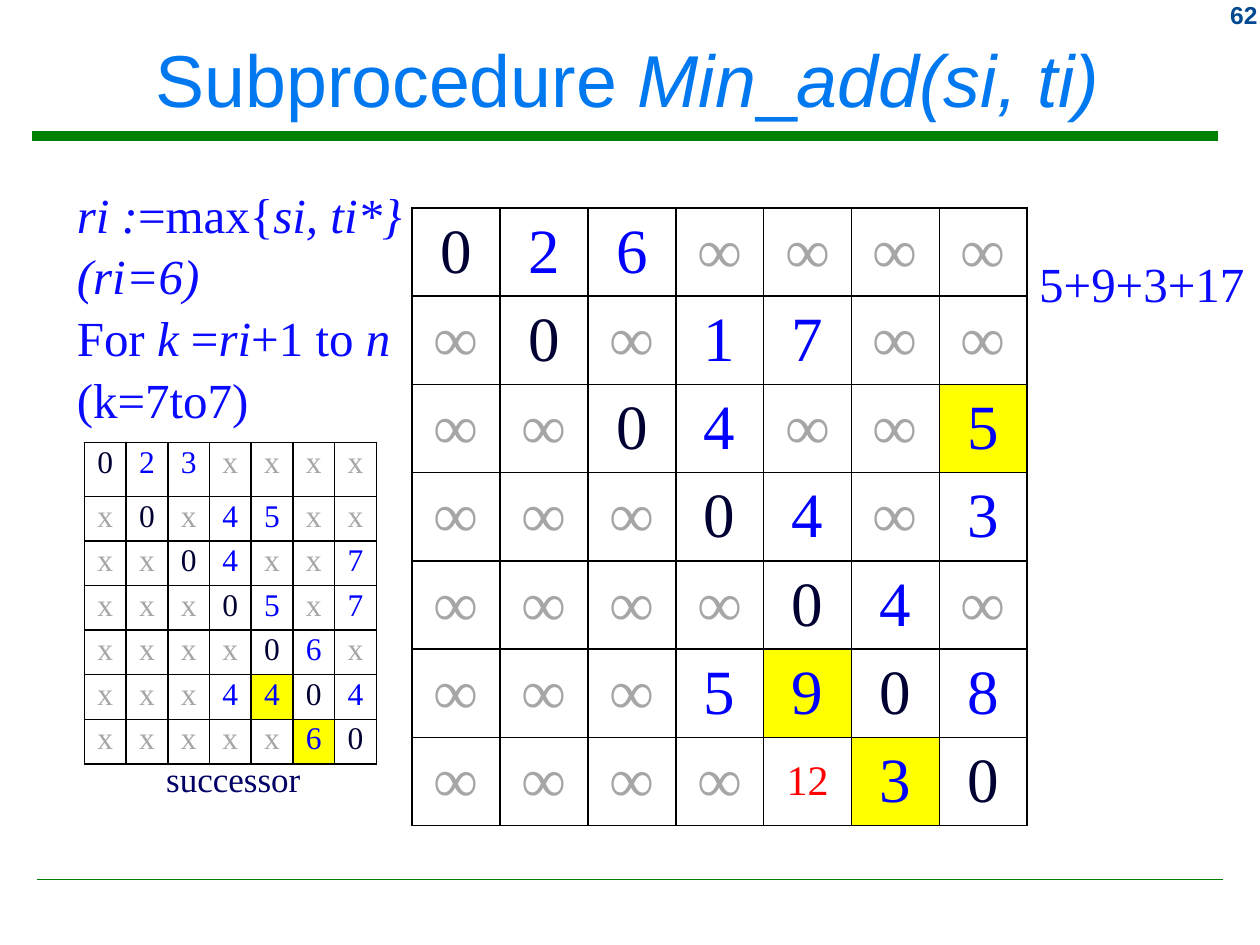
from lxml import etree
from pptx import Presentation
from pptx.dml.color import RGBColor
from pptx.enum.shapes import MSO_CONNECTOR
from pptx.enum.text import MSO_ANCHOR, MSO_AUTO_SIZE, PP_ALIGN
from pptx.oxml import parse_xml
from pptx.oxml.ns import nsdecls, qn
from pptx.util import Cm, Pt

STRAIGHT = MSO_CONNECTOR.STRAIGHT
TOP, MIDDLE = MSO_ANCHOR.TOP, MSO_ANCHOR.MIDDLE
LEFT, CENTER, RIGHT = PP_ALIGN.LEFT, PP_ALIGN.CENTER, PP_ALIGN.RIGHT
NO_FIT = MSO_AUTO_SIZE.NONE

GREEN = RGBColor(0x00, 0x80, 0x00)
NAVY = RGBColor(0x00, 0x49, 0x92)
SKY = RGBColor(0x00, 0x78, 0xF0)
INK = RGBColor(0x00, 0x00, 0x66)
VIVID = RGBColor(0x0A, 0x0A, 0xFF)
DARK = RGBColor(0x00, 0x00, 0x33)
BLUE = RGBColor(0x00, 0x00, 0xFF)
GRAY = RGBColor(0xA6, 0xA6, 0xA6)
RED = RGBColor(0xFF, 0x00, 0x00)
WHITE = RGBColor(0xFF, 0xFF, 0xFF)
YELLOW = RGBColor(0xFF, 0xFF, 0x00)

SERIF, SANS = "Times New Roman", "Arial"
HEAD = {"size": Pt(42), "name": SANS}
PAGE = {"size": Pt(14), "name": SANS, "bold": True}
BODY = {"size": Pt(28), "name": SERIF}
LABEL = {"size": Pt(20), "name": SERIF}

STEPS = [
    "|ri :|=max{|si, ti*}",
    "|(ri=6)",
    "For |k |=|ri|+1 to |n",
    "(k=7to7)",
]
NEXT = [
    "0 2 3 x x x x",
    "x 0 x 4 5 x x",
    "x x 0 4 x x 7",
    "x x x 0 5 x 7",
    "x x x x 0 6 x",
    "x x x 4 4 0 4",
    "x x x x x 6 0",
]
COST = [
    "0 2 6 ∞ ∞ ∞ ∞",
    "∞ 0 ∞ 1 7 ∞ ∞",
    "∞ ∞ 0 4 ∞ ∞ 5",
    "∞ ∞ ∞ 0 4 ∞ 3",
    "∞ ∞ ∞ ∞ 0 4 ∞",
    "∞ ∞ ∞ 5 9 0 8",
    "∞ ∞ ∞ ∞ 12 3 0",
]
TINTS = {"0": DARK, "x": GRAY, "∞": GRAY, "12": RED}


def style(item, values):
    """Set each named attribute of an item."""
    for key, value in values.items():
        setattr(item, key, value)


def write(para, text, font, color, align):
    """Fill a paragraph, with every second piece between bars in italics."""
    para.alignment = align
    for i, piece in enumerate(text.split("|")):
        if piece:
            run = para.add_run()
            run.text = piece
            style(run.font, {**font, "italic": i % 2 == 1})
            run.font.color.rgb = color


def place(shape, box):
    """Move a shape to a box given in centimetres."""
    style(shape, dict(zip(("left", "top", "width", "height"), map(Cm, box))))


def add_title(slide, box, text):
    """Place and format the title."""
    title = slide.shapes.title
    place(title, box)
    frame = title.text_frame
    style(frame, {"auto_size": NO_FIT, "vertical_anchor": MIDDLE, "word_wrap": True})
    write(frame.paragraphs[0], text, HEAD, SKY, CENTER)


def add_text(slide, box, lines, font, color, align=LEFT, wrap=True, space=1.05):
    """Add a text box with one paragraph for each line."""
    frame = slide.shapes.add_textbox(*map(Cm, box)).text_frame
    style(frame, {"word_wrap": wrap, "vertical_anchor": TOP})
    for i, line in enumerate(lines):
        para = frame.add_paragraph() if i else frame.paragraphs[0]
        para.line_spacing = space
        write(para, line, font, color, align)


def add_rule(slide, left, top, width, weight):
    """Add a level green line."""
    rule = slide.shapes.add_connector(
        STRAIGHT, Cm(left), Cm(top), Cm(left + width), Cm(top))
    rule.line.color.rgb = GREEN
    rule.line.width = Pt(weight)
    etree.SubElement(rule._element.spPr, qn("a:effectLst"))


def add_edges(cell):
    """Draw a thin black border on all sides of a cell."""
    props = cell._tc.get_or_add_tcPr()
    for i, side in enumerate("LRTB"):
        props.insert(i, parse_xml(
            f'<a:ln{side} {nsdecls("a")} w="12700"><a:solidFill>'
            f'<a:srgbClr val="000000"/></a:solidFill></a:ln{side}>'))


def add_grid(slide, box, rows, marks, size, look, first=None):
    """Add a matrix whose marked cells are yellow."""
    count = len(rows)
    table = slide.shapes.add_table(count, count, *map(Cm, box)).table
    style(table, {"first_row": False, "horz_banding": False})
    width, height = box[2:]
    first = first or height / count
    rest = (height - first) / (count - 1)
    for r, row in enumerate(rows):
        table.columns[r].width = Cm(width / count)
        table.rows[r].height = Cm(rest if r else first)
        for c, text in enumerate(row.split()):
            cell = table.cell(r, c)
            style(cell, look)
            cell.fill.solid()
            cell.fill.fore_color.rgb = YELLOW if (r, c) in marks else WHITE
            add_edges(cell)
            font = {"size": Pt(24 if len(text) > 1 else size), "name": SERIF}
            write(cell.text_frame.paragraphs[0], text, font,
                  TINTS.get(text, BLUE), CENTER)


def main():
    """Build and save the slide."""
    deck = Presentation()
    style(deck, {"slide_width": Cm(25.4), "slide_height": Cm(19.05)})
    slide = deck.slides.add_slide(deck.slide_layouts[5])
    add_rule(slide, 0.64, 2.74, 23.92, 5.25)
    add_rule(slide, 0.74, 17.73, 23.92, 1)
    add_text(slide, (23.29, -0.13, 2.31, 0.84), ["62"], PAGE, NAVY, RIGHT, space=1)
    add_title(slide, (0.2, 0.23, 24.89, 2.69), "Subprocedure |Min|_|add(si, ti)")
    add_text(slide, (3.1, 15.11, 3.25, 1.12), ["successor"], LABEL, INK, wrap=False)
    add_text(slide, (1.3, 3.53, 8.2, 5.05), STEPS, BODY, VIVID)
    add_text(slide, (20.7, 4.93, 5.79, 1.45), ["5+9+3+17"], BODY, VIVID)
    tight = {"margin_left": Cm(0.13), "margin_right": Cm(0.13),
             "margin_top": Cm(0.05), "margin_bottom": Cm(0.05),
             "vertical_anchor": TOP}
    add_grid(slide, (1.7, 8.92, 5.89, 6.48), NEXT, {(5, 4), (6, 5)}, 18, tight, 1.09)
    add_grid(slide, (8.31, 4.19, 12.4, 12.45), COST, {(2, 6), (5, 4), (6, 5)}, 36,
             {"vertical_anchor": MIDDLE})
    deck.save("out.pptx")


if __name__ == "__main__":
    main()
